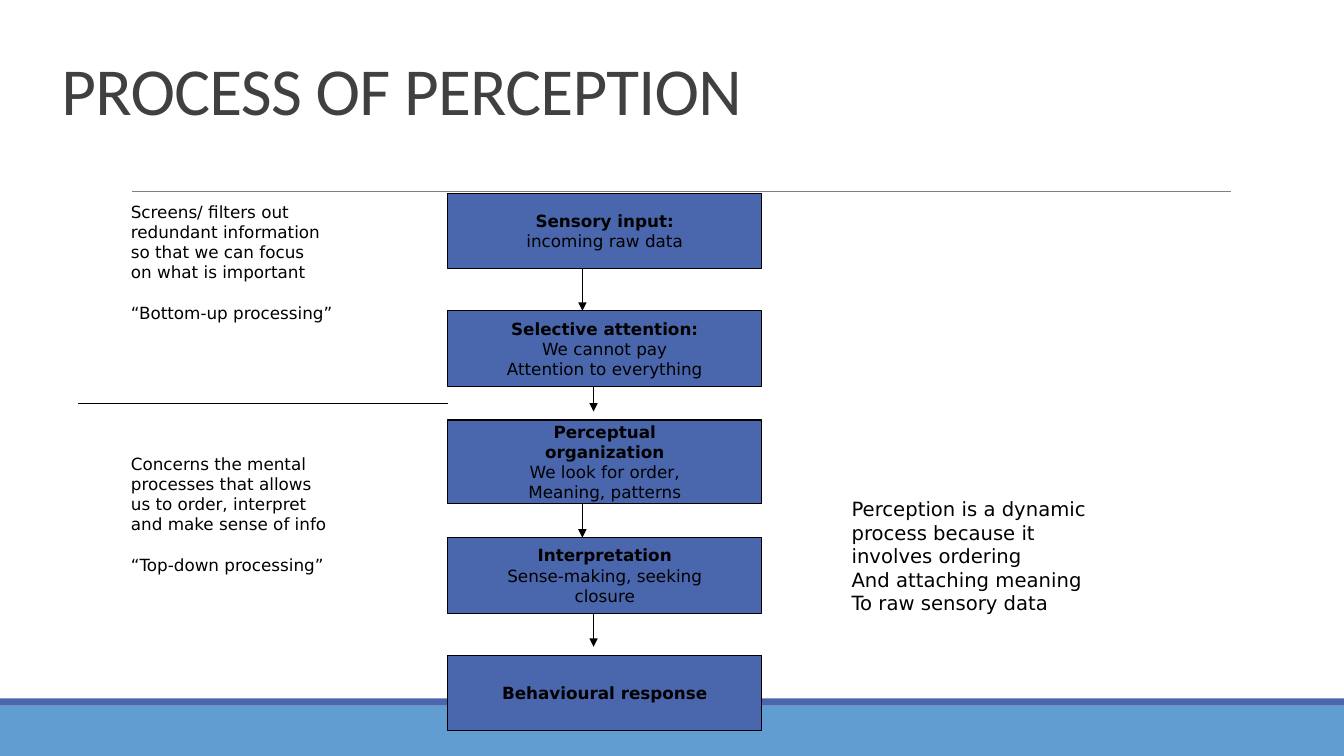
import pptx
import pptx.util
import pptx.dml.color
import pptx.enum.shapes
import pptx.enum.text
from lxml import etree

Pt = pptx.util.Pt
RECT = pptx.enum.shapes.MSO_SHAPE.RECTANGLE
STRAIGHT = pptx.enum.shapes.MSO_CONNECTOR.STRAIGHT
ANCHOR = pptx.enum.text.MSO_ANCHOR
ALIGN = pptx.enum.text.PP_ALIGN
BLUE, BLACK = "4A66AC", "000000"


def rgb(code):
    return pptx.dml.color.RGBColor.from_string(code)


def write(tf, lines, size, font="DejaVu Sans", color=BLACK, align=ALIGN.LEFT):
    tf.word_wrap = False
    for i, line in enumerate(lines):
        p = tf.paragraphs[0] if i == 0 else tf.add_paragraph()
        p.text = line
        p.alignment = align
        p.font.size, p.font.name, p.font.bold = Pt(size), font, False
        p.font.color.rgb = rgb(color)


# Slide with a grid of 120 columns and 90 rows
prs = pptx.Presentation()
prs.slide_width = pptx.util.Inches(13.333)
prs.slide_height = pptx.util.Inches(7.5)
s = prs.slides.add_slide(prs.slide_layouts[6])
col, row = prs.slide_width / 120, prs.slide_height / 90

# Footer bands
for top, height, fill in [(84, 6, "629DD1"), (83.16, 0.84, BLUE)]:
    sp = s.shapes.add_shape(RECT, 0, int(top * row), prs.slide_width, int(height * row))
    sp.shadow.inherit = False
    sp.fill.solid()
    sp.fill.fore_color.rgb = rgb(fill)
    sp.line.fill.background()

# Title
tf = s.shapes.add_textbox(int(4.6 * col), int(row), int(108 * col), int(15 * row)).text_frame
write(tf, ["PROCESS OF PERCEPTION"], 48, "Calibri", "404040")
tf.word_wrap = True
tf.vertical_anchor = ANCHOR.BOTTOM
p = tf.paragraphs[0]
p.line_spacing = 0.85
p.runs[0].font._element.set("spc", "-50")

# Steps of the process: top row, rows high, heading lines, text lines
steps = [
    (23, 9, ["Sensory input:"], ["incoming raw data"]),
    (37, 9, ["Selective attention:"], ["We cannot pay", "Attention to everything"]),
    (50, 10, ["Perceptual", "organization"], ["We look for order,", "Meaning, patterns"]),
    (64, 9, ["Interpretation"], ["Sense-making, seeking", "closure"]),
    (78, 9, ["Behavioural response"], []),
]
for top, height, heading, text in steps:
    sp = s.shapes.add_shape(RECT, int(40 * col), int(top * row), int(28 * col), int(height * row))
    sp.shadow.inherit = False
    sp.fill.solid()
    sp.fill.fore_color.rgb = rgb(BLUE)
    sp.line.color.rgb = rgb(BLACK)
    sp.line.width = Pt(0.75)
    tf = sp.text_frame
    tf.vertical_anchor = ANCHOR.MIDDLE
    write(tf, heading + text, 12, align=ALIGN.CENTER)
    for p in tf.paragraphs[:len(heading)]:
        p.font.bold = True

# Title rule, divider and arrows: from column, row to column, row
lines = [
    (11.8, 22.8, 109.9, 22.8, "808080", 0.5, False),
    (40, 48, 7, 48, BLACK, 0.75, False),
]
for x, y1, y2 in [(52, 32, 37), (53, 46, 49), (52, 60, 64), (53, 73, 77)]:
    lines.append((x, y1, x, y2, BLACK, 0.75, True))
for x1, y1, x2, y2, color, width, arrow in lines:
    c = s.shapes.add_connector(STRAIGHT, int(x1 * col), int(y1 * row), int(x2 * col), int(y2 * row))
    c.line.color.rgb = rgb(color)
    c.line.width = Pt(width)
    ns = "{%s}" % c._element.nsmap["a"]
    if arrow:
        etree.SubElement(c.line._get_or_add_ln(), ns + "tailEnd", type="triangle")
    etree.SubElement(c._element.spPr, ns + "effectLst")

# Side notes: column, row, columns wide, rows high, size, lines, closing term
notes = [
    (10.8, 23.4, 20, 15.7, 12,
     ["Screens/ filters out", "redundant information", "so that we can focus",
      "on what is important"], ["“Bottom-up processing”"]),
    (10.8, 53.4, 19.5, 15.7, 12,
     ["Concerns the mental", "processes that allows", "us to order, interpret",
      "and make sense of info"], ["“Top-down processing”"]),
    (75.15, 58.6, 23, 15.4, 14,
     ["Perception is a dynamic", "process because it", "involves ordering",
      "And attaching meaning", "To raw sensory data"], []),
]
for x, y, w, h, size, text, term in notes:
    tf = s.shapes.add_textbox(int(x * col), int(y * row), int(w * col), int(h * row)).text_frame
    write(tf, text + term, size)
    for p in tf.paragraphs[len(text):]:
        p.space_before = Pt(15)

prs.save("out.pptx")
